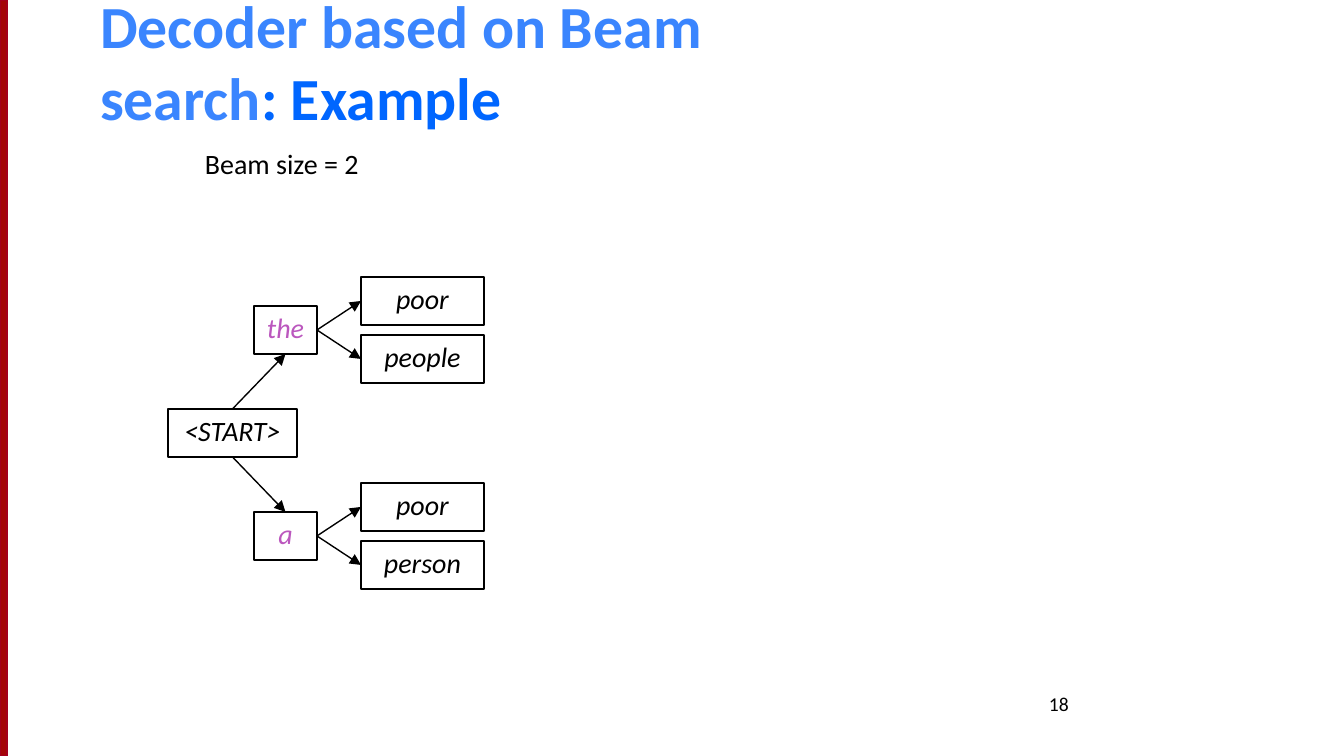
from pptx import Presentation
from pptx.dml.color import RGBColor
from pptx.enum.shapes import MSO_CONNECTOR, MSO_SHAPE
from pptx.enum.text import MSO_ANCHOR, MSO_AUTO_SIZE, PP_ALIGN
from pptx.oxml.ns import qn
from pptx.util import Pt
from lxml import etree

EMU_PER_PX = 914400 / 134.4
RECTANGLE = MSO_SHAPE.RECTANGLE
STRAIGHT = MSO_CONNECTOR.STRAIGHT
TOP, BOTTOM = MSO_ANCHOR.TOP, MSO_ANCHOR.BOTTOM
LEFT, CENTER = PP_ALIGN.LEFT, PP_ALIGN.CENTER
NO_AUTOFIT = MSO_AUTO_SIZE.NONE
TOP_SITE, LEFT_SITE, BOTTOM_SITE, RIGHT_SITE = range(4)

BLACK = "000000"
PURPLE = "BB57BE"
NODE_HEIGHT = 48
CONTINUATION_OFFSET = 29


def px(length):
    return round(length * EMU_PER_PX)


def color(value):
    return RGBColor.from_string(value)


class BeamSlide:
    font_name = "Calibri"
    line_width = Pt(0.75)

    def __init__(self, slide):
        self.slide = slide
        self.shapes = slide.shapes

    def place(self, shape, left, top, width, height):
        shape.left, shape.top = px(left), px(top)
        shape.width, shape.height = px(width), px(height)

    def set_text(self, shape, runs, size, align=LEFT, anchor=TOP, bold=False, italic=False):
        frame = shape.text_frame
        frame.word_wrap = True
        frame.auto_size = NO_AUTOFIT
        frame.vertical_anchor = anchor
        frame.margin_left = frame.margin_right = px(10)
        frame.margin_top = frame.margin_bottom = px(5)
        paragraph = frame.paragraphs[0]
        paragraph.alignment = align
        paragraph.space_before = Pt(0)
        paragraph.font.name = self.font_name
        paragraph.font.size = Pt(size)
        paragraph.font.bold = bold
        paragraph.font.italic = italic
        for text, hue in runs:
            run = paragraph.add_run()
            run.text = text
            run.font.color.rgb = color(hue)

    def title(self, runs, *bounds):
        heading = self.shapes.title
        self.place(heading, *bounds)
        self.set_text(heading, runs, 32, anchor=BOTTOM, bold=True)

    def body(self, text, *bounds):
        note = self.slide.placeholders[1]
        self.place(note, *bounds)
        properties = note.text_frame.paragraphs[0]._p.get_or_add_pPr()
        properties.set("marL", "0")
        properties.set("indent", "0")
        etree.SubElement(properties, qn("a:buNone"))
        self.set_text(note, [(text, BLACK)], 15)

    def label(self, text, size, *bounds):
        box = self.shapes.add_textbox(*map(px, bounds))
        self.set_text(box, [(text, BLACK)], size)

    def rectangle(self, line, *bounds):
        box = self.shapes.add_shape(RECTANGLE, *map(px, bounds))
        box.shadow.inherit = False
        box.fill.background()
        box.line.color.rgb = color(line)
        box.line.width = self.line_width
        return box

    def bar(self, fill, line, *bounds):
        stripe = self.rectangle(line, *bounds)
        stripe.fill.solid()
        stripe.fill.fore_color.rgb = color(fill)

    def node(self, word, left, top, width, hue=BLACK):
        box = self.rectangle(BLACK, left, top, width, NODE_HEIGHT)
        self.set_text(box, [(word, hue)], 15, align=CENTER, italic=True)
        return box

    def arrow(self, source, source_site, target, target_site):
        link = self.shapes.add_connector(STRAIGHT, 0, 0, 0, 0)
        link.begin_connect(source, source_site)
        link.end_connect(target, target_site)
        link.line.color.rgb = color(BLACK)
        link.line.width = self.line_width
        properties = link._element.spPr
        etree.SubElement(properties.get_or_add_ln(), qn("a:tailEnd"), type="triangle")
        etree.SubElement(properties, qn("a:effectLst"))


def main():
    deck = Presentation()
    deck.slide_width, deck.slide_height = px(1344), px(756)
    beam = BeamSlide(deck.slides.add_slide(deck.slide_layouts[1]))

    beam.bar("A40508", "A4001D", 0, 0, 7, 756)
    beam.title(
        [("Decoder based on Beam search", "3A85FE"), (": Example", "0066FF")],
        90, 0, 669, 137)
    beam.body("Beam size = 2", 195, 142, 183, 48)
    beam.label("18", 10.5, 1039, 687, 227, 40)

    start = beam.node("<START>", 168, 409, 129)
    branches = [
        ("the", 306, ("poor", "people"), TOP_SITE, BOTTOM_SITE),
        ("a", 512, ("poor", "person"), BOTTOM_SITE, TOP_SITE),
    ]
    for word, top, continuations, start_site, word_site in branches:
        hypothesis = beam.node(word, 254, top, 63, PURPLE)
        beam.arrow(start, start_site, hypothesis, word_site)
        for next_word, direction in zip(continuations, (-1, 1)):
            next_top = top + direction * CONTINUATION_OFFSET
            continuation = beam.node(next_word, 361, next_top, 123)
            beam.arrow(hypothesis, RIGHT_SITE, continuation, LEFT_SITE)

    deck.save("out.pptx")


if __name__ == "__main__":
    main()
